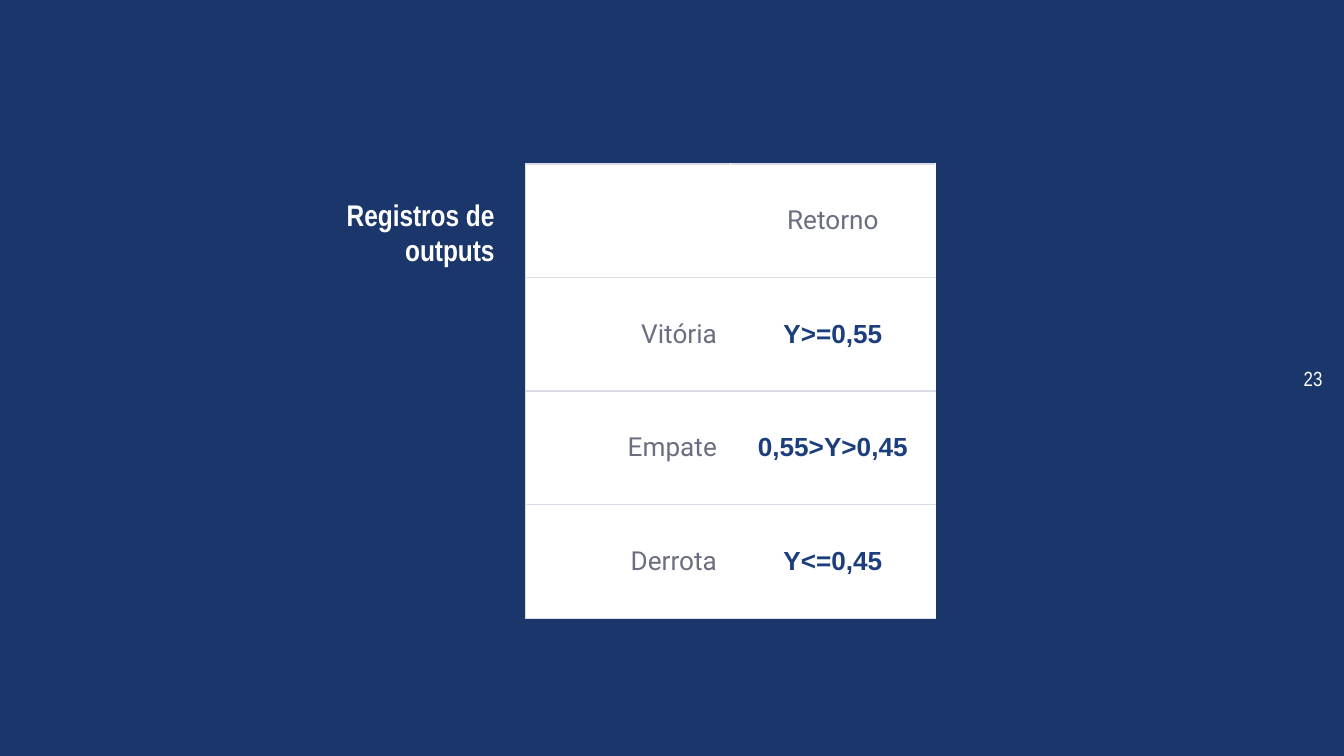
import pptx
import pptx.dml.color
import pptx.enum.text
import pptx.oxml
import pptx.oxml.ns
import pptx.util

Inches = pptx.util.Inches
Pt = pptx.util.Pt
RGBColor = pptx.dml.color.RGBColor
Align = pptx.enum.text.PP_ALIGN
Anchor = pptx.enum.text.MSO_ANCHOR

NAVY = RGBColor(0x1A, 0x36, 0x6B)
BLUE = RGBColor(0x1D, 0x3E, 0x7C)
GRAY = RGBColor(0x6B, 0x6E, 0x81)
RULE = RGBColor(0xD9, 0xDC, 0xE6)
WHITE = RGBColor(0xFF, 0xFF, 0xFF)

TITLE = "Registros de outputs"
PAGE_NUMBER = "23"
ROWS = [
    ("", "Retorno"),
    ("Vitória", "Y>=0,55"),
    ("Empate", "0,55>Y>0,45"),
    ("Derrota", "Y<=0,45"),
]


def write(frame, text, align, anchor, font_name, size, color, bold=False):
    frame.text = text
    frame.word_wrap = True
    frame.vertical_anchor = anchor
    paragraph = frame.paragraphs[0]
    paragraph.alignment = align
    for span in paragraph.runs:
        span.font.name = font_name
        span.font.size = Pt(size)
        span.font.color.rgb = color
        span.font.bold = bold


def clear_margins(frame):
    frame.margin_left = frame.margin_right = 0
    frame.margin_top = frame.margin_bottom = 0


def add_borders(cell, sides):
    properties = cell._tc.get_or_add_tcPr()
    for side in sides:
        properties.append(pptx.oxml.parse_xml(
            f'<a:ln{side} {pptx.oxml.ns.nsdecls("a")} w="{Pt(0.75)}">'
            f'<a:solidFill><a:srgbClr val="{RULE}"/></a:solidFill></a:ln{side}>'))


deck = pptx.Presentation()
deck.slide_width = Inches(10)
deck.slide_height = Inches(10 * 9 / 16)
page = deck.slides.add_slide(deck.slide_layouts[5])
page.background.fill.solid()
page.background.fill.fore_color.rgb = NAVY

number_box = page.shapes.add_textbox(Inches(9.24), 0, Inches(0.6), deck.slide_height)
clear_margins(number_box.text_frame)
write(number_box.text_frame, PAGE_NUMBER, Align.RIGHT, Anchor.MIDDLE,
      "Arial Narrow", 11, WHITE)

table = page.shapes.add_table(
    len(ROWS), 2, Inches(3.91), Inches(1.22), Inches(3.05), Inches(3.38)).table
table.first_row = False
table.horz_banding = False

for row_index, row in enumerate(ROWS):
    for column_index, text in enumerate(row):
        cell = table.cell(row_index, column_index)
        is_value = row_index > 0 and column_index == 1
        cell.margin_left = cell.margin_right = Inches(0.1)
        cell.margin_top = cell.margin_bottom = Inches(0.07)
        cell.vertical_anchor = Anchor.MIDDLE
        add_borders(cell, "TB" if column_index else "LTB")
        cell.fill.solid()
        cell.fill.fore_color.rgb = WHITE
        write(cell.text_frame, text,
              Align.CENTER if column_index else Align.RIGHT, Anchor.MIDDLE,
              "Arial" if is_value else "Roboto", 14,
              BLUE if is_value else GRAY, is_value)

title = page.shapes.title
title.left, title.top = Inches(2.54), Inches(1.46)
title.width, title.height = Inches(1.14), Inches(3.38)
title.text_frame.auto_size = pptx.enum.text.MSO_AUTO_SIZE.NONE
clear_margins(title.text_frame)
write(title.text_frame, TITLE, Align.RIGHT, Anchor.TOP,
      "Arial Narrow", 16, WHITE, True)

deck.save("out.pptx")
